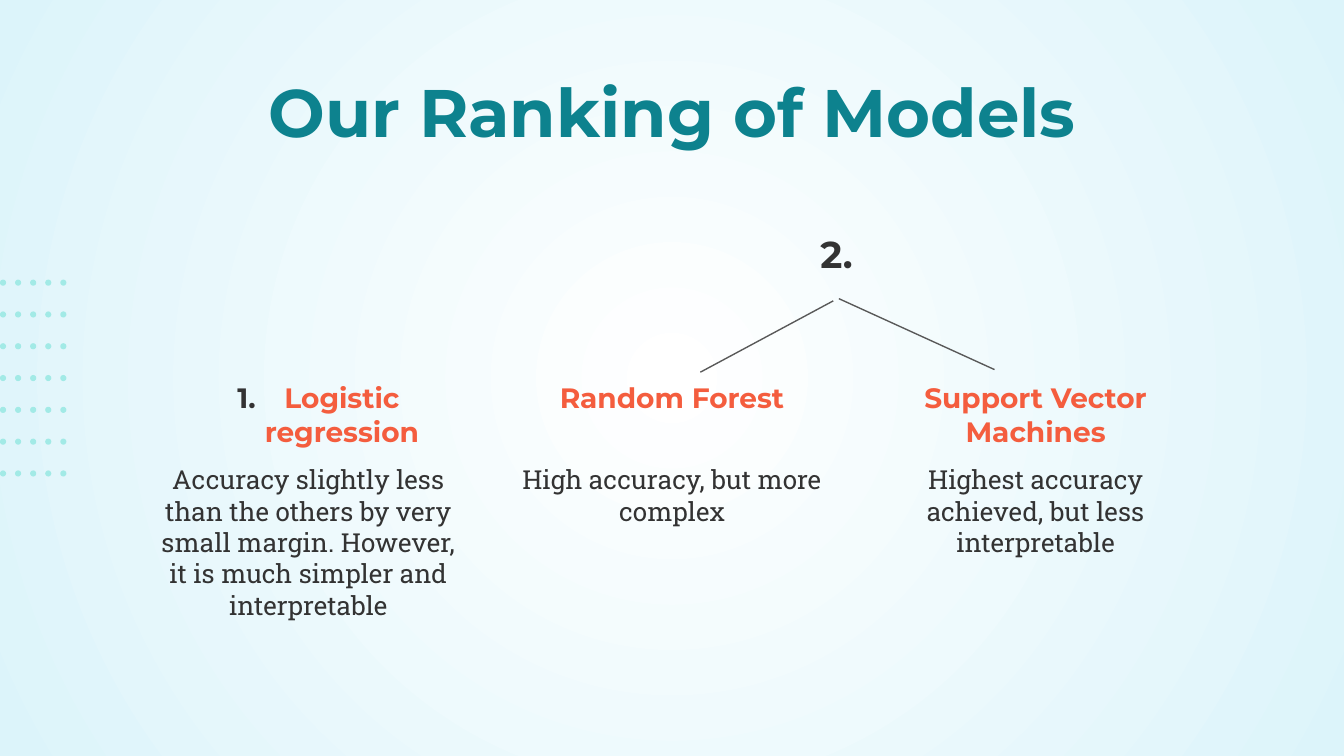
from pptx import Presentation
from pptx.dml.color import RGBColor
from pptx.enum.shapes import MSO_CONNECTOR, MSO_SHAPE
from pptx.enum.text import MSO_ANCHOR, PP_ALIGN
from pptx.oxml.ns import qn
from pptx.util import Pt
from lxml import etree

OVAL = MSO_SHAPE.OVAL
STRAIGHT = MSO_CONNECTOR.STRAIGHT
TOP, BOTTOM = MSO_ANCHOR.TOP, MSO_ANCHOR.BOTTOM
CENTER = PP_ALIGN.CENTER

HEADING_FONT, BODY_FONT = "Montserrat", "Roboto Slab"
TEAL, ORANGE, DARK = "0D828E", "F45D3E", "333333"
MINT, GREY = "A2EAE6", "595959"
WHITE, PALE_BLUE = "FFFFFF", "DCF4FA"


def color(hex_code):
    return RGBColor.from_string(hex_code)


class RankingSlide:
    def __init__(self, slide):
        self.slide = slide

    def radial_background(self, inner, outer):
        fill = self.slide.background.fill
        fill.gradient()
        for stop, position, hex_code in zip(fill.gradient_stops, (0, 1), (inner, outer)):
            stop.position = position
            stop.color.rgb = color(hex_code)
        gradient = self.slide.element.find(".//" + qn("a:gradFill"))
        gradient.remove(gradient.find(qn("a:lin")))
        circle = etree.SubElement(gradient, qn("a:path"), path="circle")
        etree.SubElement(circle, qn("a:fillToRect"), l="50000", t="50000", r="50000", b="50000")

    def dot(self, left, top, size):
        dot = self.slide.shapes.add_shape(OVAL, Pt(left), Pt(top), Pt(size), Pt(size))
        dot.shadow.inherit = False
        dot.fill.solid()
        dot.fill.fore_color.rgb = color(MINT)
        dot.line.fill.background()

    def text(self, left, top, width, height, runs, font, bold=False, anchor=TOP):
        """Add a centred paragraph; runs holds (text, size, colour) tuples."""
        box = self.slide.shapes.add_textbox(Pt(left), Pt(top), Pt(width), Pt(height))
        frame = box.text_frame
        frame.word_wrap = True
        frame.vertical_anchor = anchor
        frame.margin_left = frame.margin_right = frame.margin_top = frame.margin_bottom = 0
        paragraph = frame.paragraphs[0]
        paragraph.alignment = CENTER
        for words, size, hex_code in runs:
            run = paragraph.add_run()
            run.text = words
            run.font.size = Pt(size)
            run.font.name = font
            run.font.bold = bold
            run.font.color.rgb = color(hex_code)
        return paragraph

    def number(self, paragraph, indent, hanging):
        properties = paragraph._p.get_or_add_pPr()
        properties.set("marL", str(Pt(indent)))
        properties.set("indent", str(-Pt(hanging)))
        bullet_color = etree.SubElement(properties, qn("a:buClr"))
        etree.SubElement(bullet_color, qn("a:srgbClr"), val=DARK)
        etree.SubElement(properties, qn("a:buFont"), typeface=HEADING_FONT)
        etree.SubElement(properties, qn("a:buAutoNum"), type="arabicPeriod")

    def branch(self, x1, y1, x2, y2):
        line = self.slide.shapes.add_connector(STRAIGHT, Pt(x1), Pt(y1), Pt(x2), Pt(y2))
        line.line.color.rgb = color(GREY)
        line.line.width = Pt(0.75)
        etree.SubElement(line._element.spPr, qn("a:effectLst"))


def main():
    presentation = Presentation()
    presentation.slide_width, presentation.slide_height = Pt(720), Pt(405)
    ranking = RankingSlide(presentation.slides.add_slide(presentation.slide_layouts[6]))

    ranking.radial_background(WHITE, PALE_BLUE)
    for column in range(5):
        for row in range(7):
            ranking.dot(column * 8.08, 149.8 + row * 17.04, 3.3)

    models = [
        ("Logistic regression",
         "Accuracy slightly less than the others by very small margin. "
         "However, it is much simpler and interpretable"),
        ("Random Forest", "High accuracy, but more complex"),
        ("Support Vector Machines", "Highest accuracy achieved, but less interpretable"),
    ]
    for index, (model, verdict) in enumerate(models):
        left = 84.2 + index * 194.8
        ranking.text(left, 248.4, 162, 57.6, [(verdict, 14, DARK)], BODY_FONT)
        name = ranking.text(left, 203.8, 162, 41.8, [(model, 15, ORANGE)], HEADING_FONT, bold=True)
        if index == 0:
            ranking.number(name, indent=36, hanging=25.2)

    ranking.text(56.2, 35.3, 607.6, 45.4, [("Our Ranking of Models", 36, TEAL)],
                 HEADING_FONT, bold=True, anchor=BOTTOM)
    ranking.branch(375.2, 199.4, 446.4, 161.2)
    ranking.branch(449.4, 160, 532.8, 198)
    ranking.text(370.8, 118.1, 162, 41.8, [("2.", 20, DARK), (" ", 26, ORANGE)],
                 HEADING_FONT, bold=True)

    presentation.save("out.pptx")


if __name__ == "__main__":
    main()
